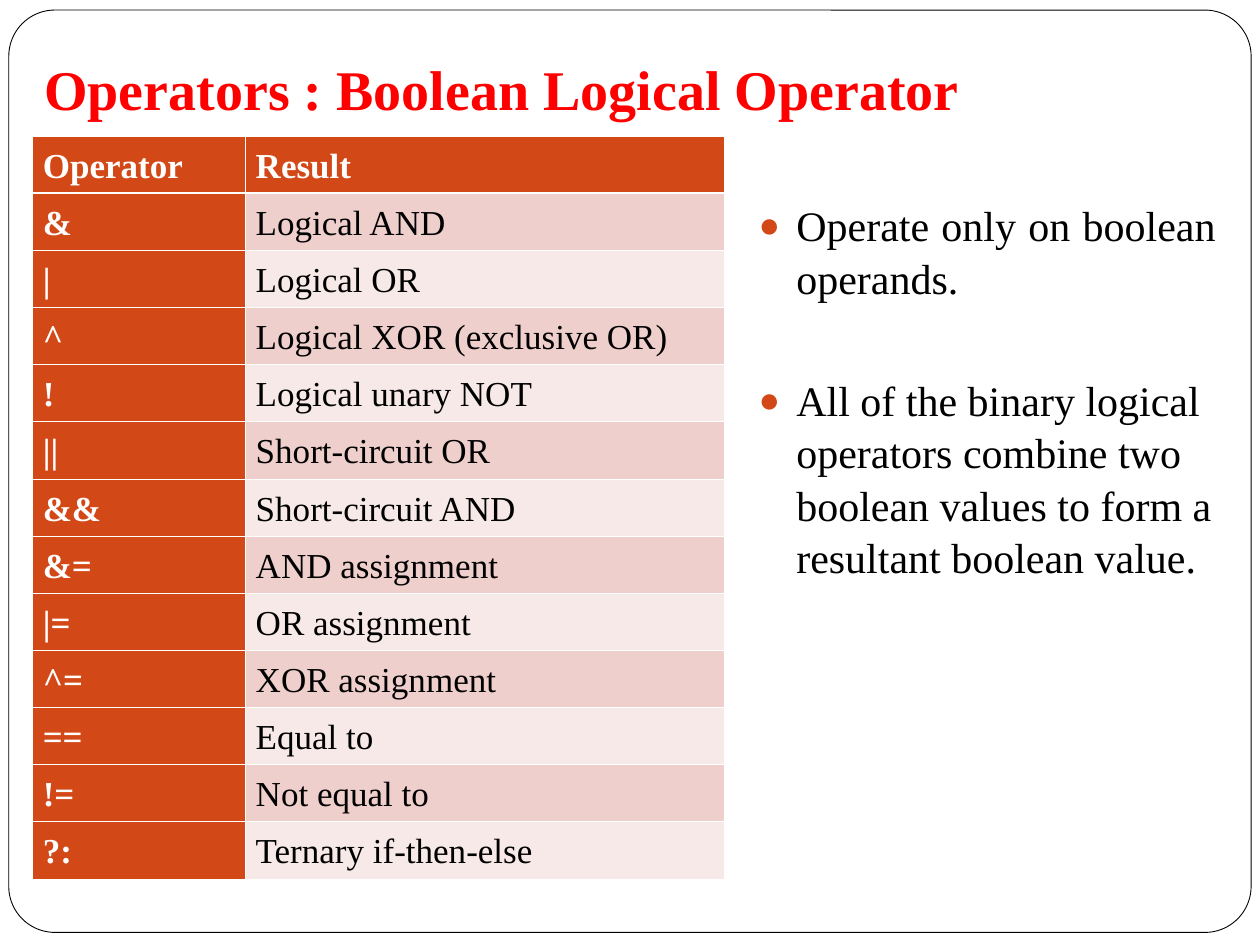
"""Build a slide that lists the Boolean logical operators beside two notes."""
from dataclasses import dataclass

from lxml.etree import SubElement
from pptx import Presentation
from pptx.dml.color import RGBColor
from pptx.enum.shapes import MSO_SHAPE
from pptx.enum.text import MSO_ANCHOR, MSO_AUTO_SIZE, PP_ALIGN as Align
from pptx.oxml.ns import qn
from pptx.util import Inches, Pt


@dataclass(frozen=True)
class Theme:
    font: str = "Times New Roman"
    title: str = "FF0000"
    accent: str = "D34817"
    ink: str = "000000"
    paper: str = "FFFFFF"
    bands: tuple = ("EFCFCC", "F7E9E7")
    title_size: int = 32
    body_size: int = 24
    table_size: int = 20
    thin_line: float = 0.45
    header_line: float = 1.5


THEME = Theme()
TITLE = "Operators : Boolean Logical Operator"
OPERATORS = [
    ("Operator", "Result"),
    ("&", "Logical AND"),
    ("|", "Logical OR"),
    ("^", "Logical XOR (exclusive OR)"),
    ("!", "Logical unary NOT"),
    ("||", "Short-circuit OR"),
    ("&&", "Short-circuit AND"),
    ("&=", "AND assignment"),
    ("|=", "OR assignment"),
    ("^=", "XOR assignment"),
    ("==", "Equal to"),
    ("!=", "Not equal to"),
    ("?:", "Ternary if-then-else"),
]
NOTES = [
    ("Operate only on boolean operands.", Align.JUSTIFY, 0),
    ("All of the binary logical operators combine two boolean values "
     "to form a resultant boolean value.", Align.LEFT, 40),
]


def write(paragraph, text, *, size, color=THEME.ink, bold=False,
          align=Align.LEFT, spacing=1.0, before=0):
    paragraph.alignment = align
    paragraph.line_spacing = spacing
    paragraph.space_before = Pt(before)
    run = paragraph.add_run()
    run.text = text
    run.font.name = THEME.font
    run.font.size = Pt(size)
    run.font.bold = bold
    run.font.color.rgb = RGBColor.from_string(color)


def place(shape, left, top, width, height):
    shape.left, shape.top = Inches(left), Inches(top)
    shape.width, shape.height = Inches(width), Inches(height)


def add_bullet(paragraph, indent):
    properties = paragraph._p.get_or_add_pPr()
    properties.set("marL", str(indent))
    properties.set("indent", str(-indent))
    color = SubElement(properties, qn("a:buClr"))
    SubElement(color, qn("a:srgbClr"), val=THEME.accent)
    SubElement(properties, qn("a:buSzPct"), val="85000")
    SubElement(properties, qn("a:buChar"), char="●")


def set_border(cell, side, width):
    properties = cell._tc.get_or_add_tcPr()
    line = SubElement(properties, qn(f"a:ln{side}"), w=str(Pt(width)))
    fill = SubElement(line, qn("a:solidFill"))
    SubElement(fill, qn("a:srgbClr"), val=THEME.paper)


def add_frame(slide):
    frame = slide.shapes.add_shape(
        MSO_SHAPE.ROUNDED_RECTANGLE,
        Inches(0.07), Inches(0.08), Inches(9.86), Inches(7.32))
    frame.adjustments[0] = 0.05
    frame.shadow.inherit = False
    frame.fill.solid()
    frame.fill.fore_color.rgb = RGBColor.from_string(THEME.paper)
    frame.line.color.rgb = RGBColor.from_string(THEME.ink)
    frame.line.width = Pt(0.5)
    slide.shapes._spTree.insert(2, frame._element)


def fill_title(title):
    place(title, 0.25, 0.25, 9.42, 0.82)
    text_frame = title.text_frame
    text_frame.auto_size = MSO_AUTO_SIZE.NONE
    text_frame.vertical_anchor = MSO_ANCHOR.BOTTOM
    text_frame.margin_bottom = Inches(0.1)
    write(text_frame.paragraphs[0], TITLE, size=THEME.title_size,
          color=THEME.title, bold=True)


def fill_notes(body):
    place(body, 5.92, 1.52, 3.83, 5)
    text_frame = body.text_frame
    text_frame.auto_size = MSO_AUTO_SIZE.NONE
    for index, (text, align, before) in enumerate(NOTES):
        paragraph = text_frame.add_paragraph() if index else text_frame.paragraphs[0]
        add_bullet(paragraph, Inches(0.3))
        write(paragraph, text, size=THEME.body_size, align=align,
              spacing=1.04, before=before)


def fill_cell(cell, text, row, column):
    header = row == 0
    accented = header or column == 0
    for side in "LRTB":
        heavy = (row, side) in ((0, "B"), (1, "T"))
        set_border(cell, side, THEME.header_line if heavy else THEME.thin_line)
    cell.fill.solid()
    cell.fill.fore_color.rgb = RGBColor.from_string(
        THEME.accent if accented else THEME.bands[(row - 1) % 2])
    cell.margin_left = cell.margin_right = Inches(0.08)
    cell.margin_top = cell.margin_bottom = Inches(0.04)
    write(cell.text_frame.paragraphs[0], text, size=THEME.table_size,
          color=THEME.paper if accented else THEME.ink, bold=accented,
          align=Align.JUSTIFY, spacing=1.15)


def add_operator_table(slide):
    widths = (1.69, 3.8)
    table = slide.shapes.add_table(
        len(OPERATORS), len(widths), Inches(0.26), Inches(1.08),
        Inches(sum(widths)), Inches(5.9)).table
    for column, width in zip(table.columns, widths):
        column.width = Inches(width)
    for row, texts in enumerate(OPERATORS):
        for column, text in enumerate(texts):
            fill_cell(table.cell(row, column), text, row, column)


def main():
    presentation = Presentation()
    presentation.slide_width, presentation.slide_height = Inches(10), Inches(7.5)
    slide = presentation.slides.add_slide(presentation.slide_layouts[1])
    add_frame(slide)
    fill_title(slide.shapes.title)
    fill_notes(slide.placeholders[1])
    add_operator_table(slide)
    presentation.save("out.pptx")


if __name__ == "__main__":
    main()
